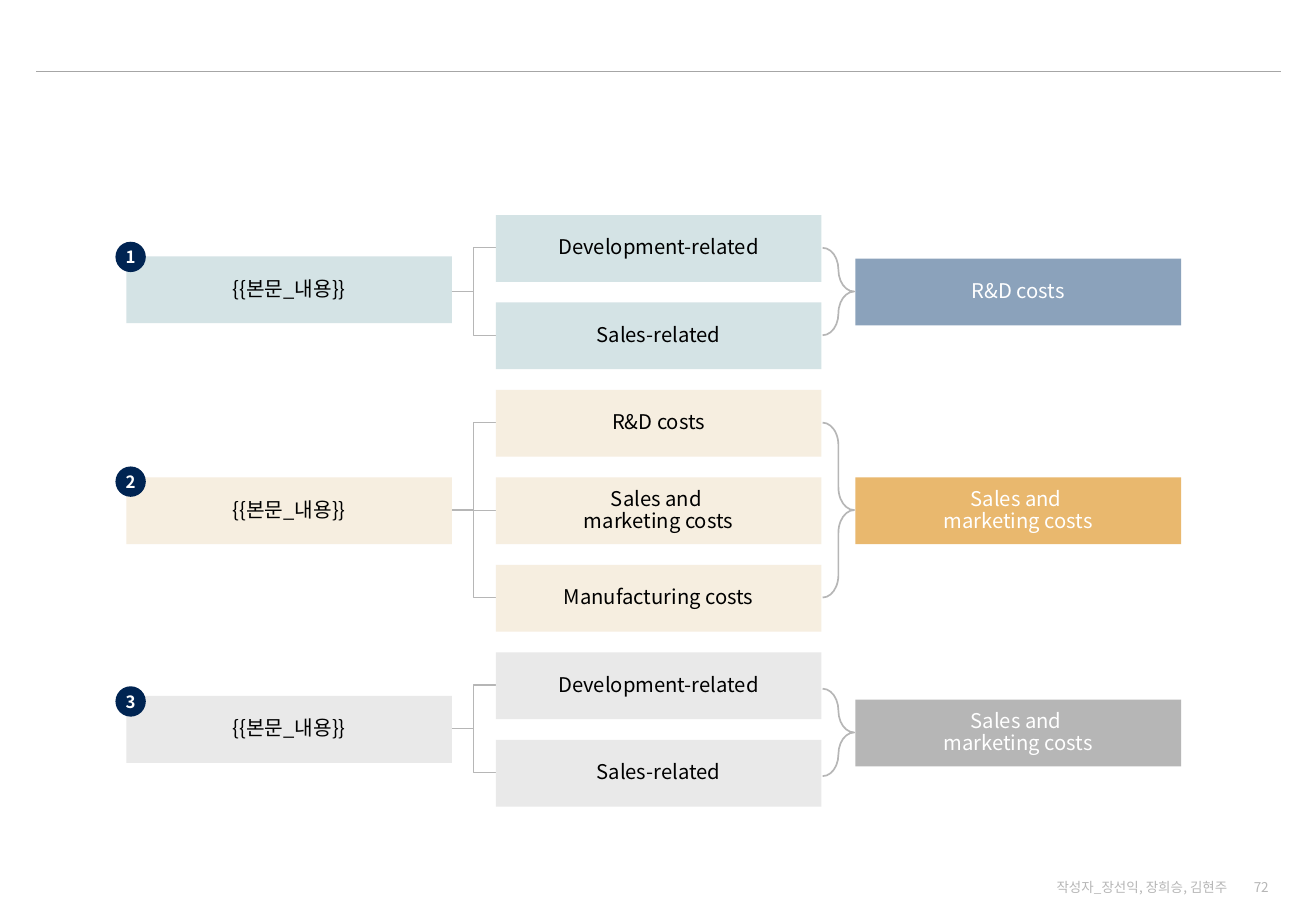
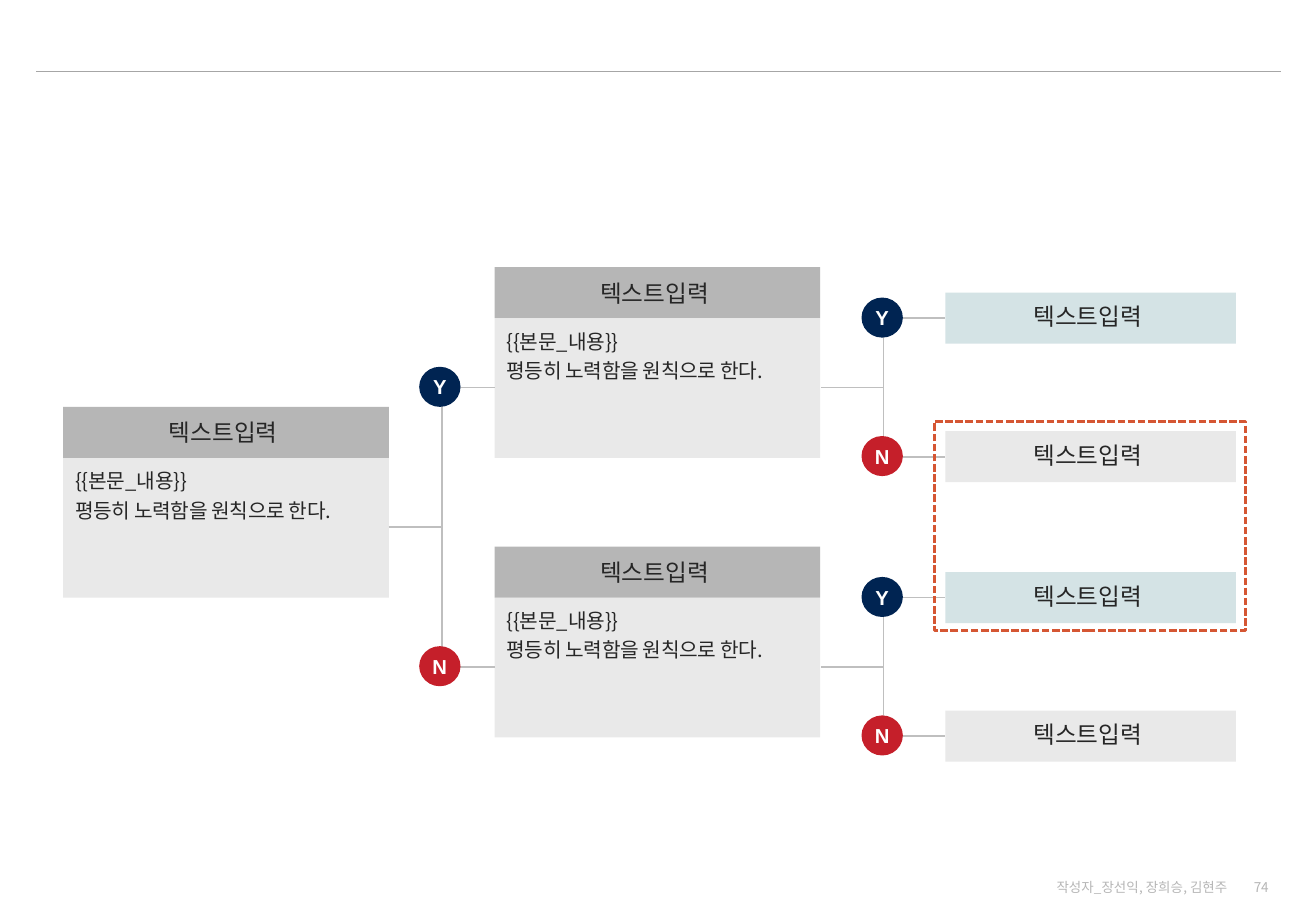
from lxml import etree
from pptx import Presentation, util as u
from pptx.dml.color import RGBColor
from pptx.enum import dml, shapes, text as t
from pptx.oxml.ns import qn

PX = 9144  # 100 px to the inch
SANS = "Noto Sans CJK KR"
COLORS = {
    "black": "000000", "white": "FFFFFF", "ink": "262626",
    "navy": "002452", "red": "C51F2A", "orange": "D55633",
    "teal": "D4E3E5", "cream": "F6EEE0", "pale": "E9E9E9",
    "blue": "8BA2BB", "gold": "E9B86E", "gray": "B6B6B6",
    "rule": "A6A6A6", "branch": "BFBFBF",
}
RECTANGLE = shapes.MSO_SHAPE.RECTANGLE
OVAL = shapes.MSO_SHAPE.OVAL
CENTER, LEFT, RIGHT = t.PP_ALIGN.CENTER, t.PP_ALIGN.LEFT, t.PP_ALIGN.RIGHT
MIDDLE, TOP = t.MSO_ANCHOR.MIDDLE, t.MSO_ANCHOR.TOP


def add_box(slide, kind, box, text="", *, fill=None, line=None, line_width=1, size=12,
            color="black", font=SANS, bold=False, align=CENTER, anchor=MIDDLE,
            spacing=None, tracking=None, inset=None, wrap=True):
    """Add a preset shape, or a text box when kind is None; box is in px."""
    place = [n * PX for n in box]
    shape = slide.shapes.add_shape(kind, *place) if kind else slide.shapes.add_textbox(*place)
    shape.shadow.inherit = False
    if fill:
        shape.fill.solid()
        shape.fill.fore_color.rgb = RGBColor.from_string(COLORS[fill])
    else:
        shape.fill.background()
    if line:
        shape.line.color.rgb = RGBColor.from_string(COLORS[line])
        shape.line.width = u.Pt(line_width)
    else:
        shape.line.fill.background()
    if not text:
        return shape
    frame = shape.text_frame
    frame.word_wrap = wrap
    frame.vertical_anchor = anchor
    if inset is not None:
        frame.margin_left = frame.margin_right = frame.margin_top = frame.margin_bottom = inset
    frame.text = text
    for paragraph in frame.paragraphs:
        paragraph.alignment = align
        paragraph.line_spacing = spacing
        for run in paragraph.runs:
            run.font.size = u.Pt(size)
            run.font.bold = bold
            run.font.color.rgb = RGBColor.from_string(COLORS[color])
            run.font.name = font
            properties = run._r.get_or_add_rPr()
            etree.SubElement(properties, qn("a:ea")).set("typeface", font)
            if tracking:
                properties.set("spc", str(tracking))
    return shape


def add_link(slide, start, end, color, width):
    """Join two points, with an elbow when their heights differ."""
    kinds = shapes.MSO_CONNECTOR
    kind = kinds.STRAIGHT if start[1] == end[1] else kinds.ELBOW
    link = slide.shapes.add_connector(kind, *[n * PX for n in (*start, *end)])
    link.line.color.rgb = RGBColor.from_string(COLORS[color])
    link.line.width = u.Pt(width)
    etree.SubElement(link._element.spPr, qn("a:effectLst"))


presentation = Presentation()
presentation.slide_width, presentation.slide_height = 1083 * PX, 750 * PX

slides = []
for number in ("72", "74"):
    slide = presentation.slides.add_slide(presentation.slide_layouts[6])
    slides.append(slide)
    add_link(slide, (30, 59), (1054, 59), "rule", 0.75)
    for box, text in (((1013, 722, 41, 16), number),
                      ((852, 722, 168, 16), "작성자_장선익, 장희승, 김현주")):
        add_box(slide, None, box, text, size=8, color="gray", align=RIGHT)
cost_slide, decision_slide = slides

# Cost allocation: input, split items, result
ITEM_TOP, ITEM_STEP, BOX_W, BOX_H = 177, 72, 268, 55
ITEM_X, RESULT_X = 408, 704
related = ["Development-related", "Sales-related"]
marketing = "Sales and \nmarketing costs"
groups = [
    # items, result, light fill, strong fill, input top, badge top, result top
    (related, "R&D costs", "teal", "blue", 211, 199, 213),
    (["R&D costs", marketing, "Manufacturing costs"], marketing, "cream", "gold", 393, 384, 393),
    (related, marketing, "pale", "gray", 573, 565, 576),
]
item_y = ITEM_TOP
for index, group in enumerate(groups, 1):
    items, result, light, strong, input_y, badge_y, result_y = group
    span = ITEM_STEP * (len(items) - 1)
    fork = (372, item_y + span // 2 + 27)
    add_box(cost_slide, RECTANGLE, (104, input_y, BOX_W, BOX_H), "{{본문_내용}}",
            fill=light, spacing=0.9)
    add_box(cost_slide, OVAL, (95, badge_y, 25, 25), str(index), fill="navy",
            color="white", size=10, bold=True, inset=0, wrap=False)
    for item in items:
        add_link(cost_slide, fork, (ITEM_X, item_y + 27), "gray", 0.75)
        add_box(cost_slide, RECTANGLE, (ITEM_X, item_y, BOX_W, BOX_H), item,
                fill=light, spacing=0.9)
        item_y += ITEM_STEP
    brace = add_box(cost_slide, shapes.MSO_SHAPE.RIGHT_BRACE,
                    (677, result_y + 27 - span // 2, 26, span), line="gray")
    brace.adjustments[0], brace.adjustments[1] = 0.72, 0.5
    add_box(cost_slide, RECTANGLE, (RESULT_X, result_y, BOX_W, BOX_H), result,
            fill=strong, color="white", spacing=0.9)

# Decision tree: cards, yes/no forks, outcomes
LABEL = "텍스트입력 "
LABEL_H, LEAF_X = 42, 778
for x, y in ((52, 335), (407, 220), (407, 450)):
    add_box(decision_slide, RECTANGLE, (x, y + LABEL_H, 268, 115),
            "{{본문_내용}}\n평등히 노력함을 원칙으로 한다.", fill="pale", color="ink",
            align=LEFT, anchor=TOP, spacing=1.2, tracking=-20)
    add_box(decision_slide, RECTANGLE, (x, y, 268, LABEL_H), LABEL,
            fill="gray", color="ink", size=14)

# fork start, end x, vertical reach, left of the answer circles
for (x, y), end_x, reach, circle_x in (((320, 434), 407, 115, 345),
                                       ((676, 319), LEAF_X, 57, 709),
                                       ((676, 549), LEAF_X, 57, 709)):
    for answer, fill, leaf_fill, end_y in (("Y", "navy", "teal", y - reach),
                                           ("N", "red", "pale", y + reach)):
        add_link(decision_slide, (x, y), (end_x, end_y), "branch", 1)
        add_box(decision_slide, OVAL, (circle_x, end_y - 17, 34, 33), answer, fill=fill,
                color="white", font="Arial", bold=True, wrap=False)
        if end_x == LEAF_X:
            add_box(decision_slide, RECTANGLE, (LEAF_X, end_y - 21, 239, LABEL_H), LABEL,
                    fill=leaf_fill, color="ink", size=14, spacing=0.9)

highlight = add_box(decision_slide, RECTANGLE, (769, 347, 256, 172),
                    line="orange", line_width=1.5)
highlight.line.dash_style = dml.MSO_LINE.SQUARE_DOT

presentation.save("out.pptx")
